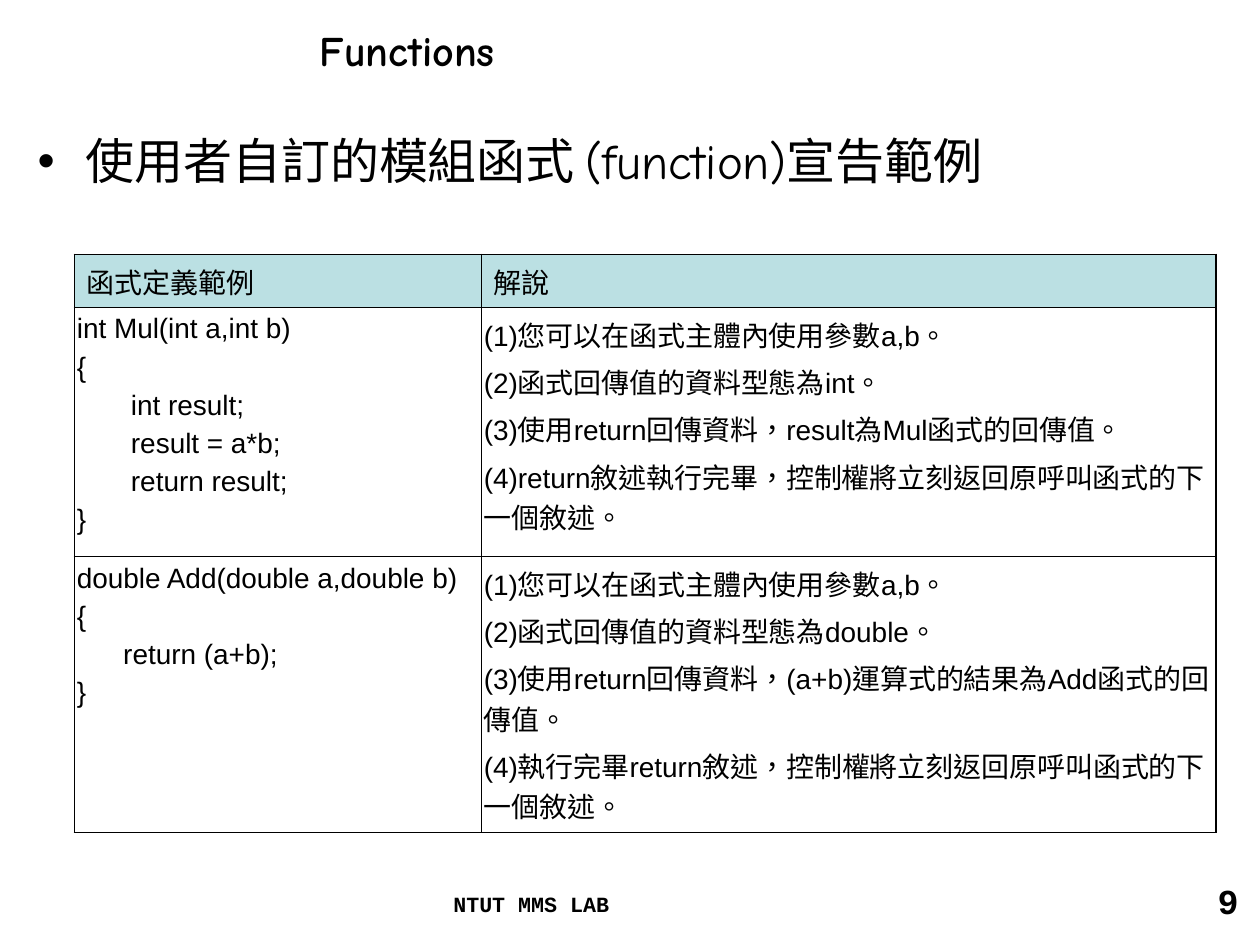
from lxml import etree
from pptx import Presentation, util as u
from pptx.dml.color import RGBColor
from pptx.enum import lang, text
from pptx.oxml import ns

BLACK = RGBColor(0x00, 0x00, 0x00)
HEADER_TEAL = RGBColor(0xBB, 0xE0, 0xE3)
OUTER, INNER = 1.08, 0.45

HEADINGS = ["函式定義範例", "解說"]
EXAMPLES = [
    (
        [
            "int Mul(int a,int b)",
            "{",
            "       int result;",
            "       result = a*b;",
            "       return result;",
            "}",
        ],
        [
            "(1)您可以在函式主體內使用參數a,b。",
            "(2)函式回傳值的資料型態為int。",
            "(3)使用return回傳資料，result為Mul函式的回傳值。",
            "(4)return敘述執行完畢，控制權將立刻返回原呼叫函式的下一個敘述。",
        ],
    ),
    (
        ["double Add(double a,double b)", "{", "      return (a+b);", "}"],
        [
            "(1)您可以在函式主體內使用參數a,b。",
            "(2)函式回傳值的資料型態為double。",
            "(3)使用return回傳資料，(a+b)運算式的結果為Add函式的回傳值。",
            "(4)執行完畢return敘述，控制權將立刻返回原呼叫函式的下一個敘述。",
        ],
    ),
]


def add_child(parent, tag, **attributes):
    child = etree.SubElement(parent, ns.qn(tag))
    for name, value in attributes.items():
        child.set(name, str(value))
    return child


def write(frame, lines, size, font, bold=False, align=None, gap=0,
          spacing=None, bullet=None, indent=0):
    frame.word_wrap = True
    for number, line in enumerate(lines):
        paragraph = frame.add_paragraph() if number else frame.paragraphs[0]
        if bullet:
            properties = paragraph._p.get_or_add_pPr()
            properties.set("marL", str(u.Inches(indent)))
            properties.set("indent", str(-u.Inches(indent)))
            colour = add_child(properties, "a:buClr")
            add_child(colour, "a:srgbClr", val=BLACK)
            add_child(properties, "a:buFont", typeface="Arial")
            add_child(properties, "a:buChar", char=bullet)
        if number:
            paragraph.space_before = u.Pt(gap)
        if spacing:
            paragraph.line_spacing = spacing
        paragraph.alignment = align
        run = paragraph.add_run()
        run.text = line
        run.font.language_id = lang.MSO_LANGUAGE_ID.TRADITIONAL_CHINESE
        run.font.size = u.Pt(size)
        run.font.name = font
        run.font.bold = bold
        run.font.color.rgb = BLACK


class SlideBuilder:
    heading_font = "Comic Neue"
    footer_font = "Courier New"
    table_font = "Arial"

    def __init__(self, slide):
        self.slide = slide

    def label(self, content, left, top, width, height,
              anchor=text.MSO_ANCHOR.TOP, **style):
        box = self.slide.shapes.add_textbox(
            u.Inches(left), u.Inches(top), u.Inches(width), u.Inches(height))
        box.text_frame.vertical_anchor = anchor
        write(box.text_frame, [content], **style)

    def borders(self, cell, **widths):
        properties = cell._tc.get_or_add_tcPr()
        for side in "LRTB":
            line = add_child(properties, f"a:ln{side}", w=u.Pt(widths[side]))
            fill = add_child(line, "a:solidFill")
            add_child(fill, "a:srgbClr", val=BLACK)

    def table(self, rows, left, top, widths, heights):
        grid = self.slide.shapes.add_table(
            len(heights), len(widths), u.Inches(left), u.Inches(top),
            u.Inches(sum(widths)), u.Inches(sum(heights))).table
        grid.first_row = grid.horz_banding = False
        for column, width in zip(grid.columns, widths):
            column.width = u.Inches(width)
        for r, (row, height) in enumerate(zip(rows, heights)):
            grid.rows[r].height = u.Inches(height)
            for c, lines in enumerate(row):
                cell = grid.cell(r, c)
                self.borders(
                    cell,
                    L=OUTER if c == 0 else INNER,
                    R=OUTER if c == len(widths) - 1 else INNER,
                    T=OUTER if r == 0 else INNER,
                    B=OUTER if r == len(heights) - 1 else INNER)
                if r == 0:
                    cell.fill.solid()
                    cell.fill.fore_color.rgb = HEADER_TEAL
                    cell.vertical_anchor = text.MSO_ANCHOR.MIDDLE
                else:
                    cell.fill.background()
                    cell.margin_left = cell.margin_right = u.Inches(0.02)
                write(cell.text_frame, lines, size=16,
                      font=self.table_font, gap=4)


def main():
    deck = Presentation()
    deck.slide_width, deck.slide_height = u.Inches(10), u.Inches(7.5)
    page = SlideBuilder(deck.slides.add_slide(deck.slide_layouts[6]))

    page.label("Functions", 2.44, 0, 7.56, 0.79,
               anchor=text.MSO_ANCHOR.MIDDLE,
               size=24, font=page.heading_font, bold=True)
    page.label("使用者自訂的模組函式 (function)宣告範例", 0.2, 0.99, 9.69, 5.82,
               size=28, font=page.heading_font, bullet="•", indent=0.38)
    page.label("NTUT MMS LAB", 3.5, 7.06, 3.24, 0.32,
               size=12.4, font=page.footer_font, bold=True, spacing=0.8)
    page.label("9", 7.6, 6.93, 2.33, 0.52, size=20, font=page.footer_font,
               bold=True, align=text.PP_ALIGN.RIGHT)

    header = [[heading] for heading in HEADINGS]
    page.table([header, *EXAMPLES], 0.59, 2.02,
               widths=[3.23, 5.83], heights=[0.42, 1.88, 2.19])
    deck.save("out.pptx")


if __name__ == "__main__":
    main()
